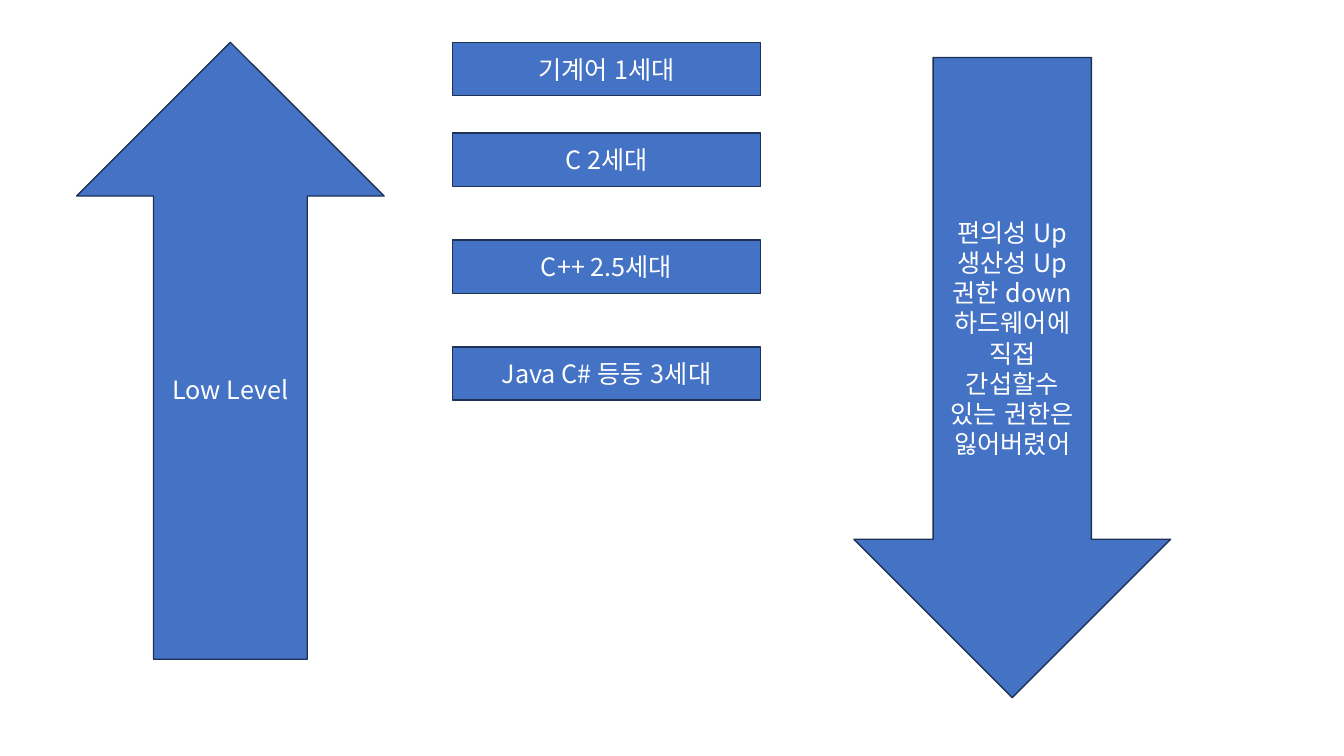
import lxml.etree
import pptx
import pptx.dml.color
import pptx.enum.lang
import pptx.enum.shapes
import pptx.enum.text
import pptx.oxml.ns
import pptx.util

GENERATIONS = [
    # label, row on the box grid
    ("기계어 1세대", 0),
    ("C 2세대", 1.7),
    ("C++ 2.5세대", 3.7),
    ("Java C# 등등 3세대", 5.7),
]
LOW_LEVEL = ["Low Level"]
TRADE_OFFS = [
    "편의성 Up",
    "생산성 Up",
    "권한 down",
    "하드웨어에",
    "직접 간섭할수 있는 권한은 잃어버렸어",
]

SLIDE_WIDTH, SLIDE_HEIGHT = 13.33, 7.5
TOP = 0.42
BOX_LEFT, BOX_WIDTH, ROW_HEIGHT = 4.49, 3.05, 0.53
UP_ARROW = (0.76, TOP, BOX_WIDTH, 6.12)
DOWN_ARROW = (8.47, 0.57, 3.14, 6.35)

FONT = "Noto Sans CJK KR"
BLUE = pptx.dml.color.RGBColor(0x44, 0x72, 0xC4)
NAVY = pptx.dml.color.RGBColor(0x1E, 0x32, 0x56)
WHITE = pptx.dml.color.RGBColor(0xFF, 0xFF, 0xFF)
SHAPES = pptx.enum.shapes.MSO_SHAPE


def style_run(run):
    font = run.font
    font.size = pptx.util.Pt(18)
    font.color.rgb = WHITE
    font.name = FONT
    font.language_id = pptx.enum.lang.MSO_LANGUAGE_ID.KOREAN
    # Hangul takes its typeface from the East Asian font entry.
    east_asian = lxml.etree.SubElement(
        run._r.get_or_add_rPr(), pptx.oxml.ns.qn("a:ea"))
    east_asian.set("typeface", FONT)


def add_labelled_shape(slide, kind, bounds, lines):
    """Add a blue shape at bounds (inches), one centred paragraph per line."""
    shape = slide.shapes.add_shape(kind, *map(pptx.util.Inches, bounds))
    shape.shadow.inherit = False
    shape.fill.solid()
    shape.fill.fore_color.rgb = BLUE
    shape.line.color.rgb = NAVY
    shape.line.width = pptx.util.Pt(1)
    frame = shape.text_frame
    frame.word_wrap = True
    frame.vertical_anchor = pptx.enum.text.MSO_ANCHOR.MIDDLE
    for index, line in enumerate(lines):
        paragraph = frame.add_paragraph() if index else frame.paragraphs[0]
        paragraph.alignment = pptx.enum.text.PP_ALIGN.CENTER
        run = paragraph.add_run()
        run.text = line
        style_run(run)


def main():
    presentation = pptx.Presentation()
    presentation.slide_width = pptx.util.Inches(SLIDE_WIDTH)
    presentation.slide_height = pptx.util.Inches(SLIDE_HEIGHT)
    slide = presentation.slides.add_slide(presentation.slide_layouts[6])

    for label, row in GENERATIONS:
        bounds = (BOX_LEFT, TOP + row * ROW_HEIGHT, BOX_WIDTH, ROW_HEIGHT)
        add_labelled_shape(slide, SHAPES.RECTANGLE, bounds, [label])
    add_labelled_shape(slide, SHAPES.DOWN_ARROW, DOWN_ARROW, TRADE_OFFS)
    add_labelled_shape(slide, SHAPES.UP_ARROW, UP_ARROW, LOW_LEVEL)

    presentation.save("out.pptx")


if __name__ == "__main__":
    main()
